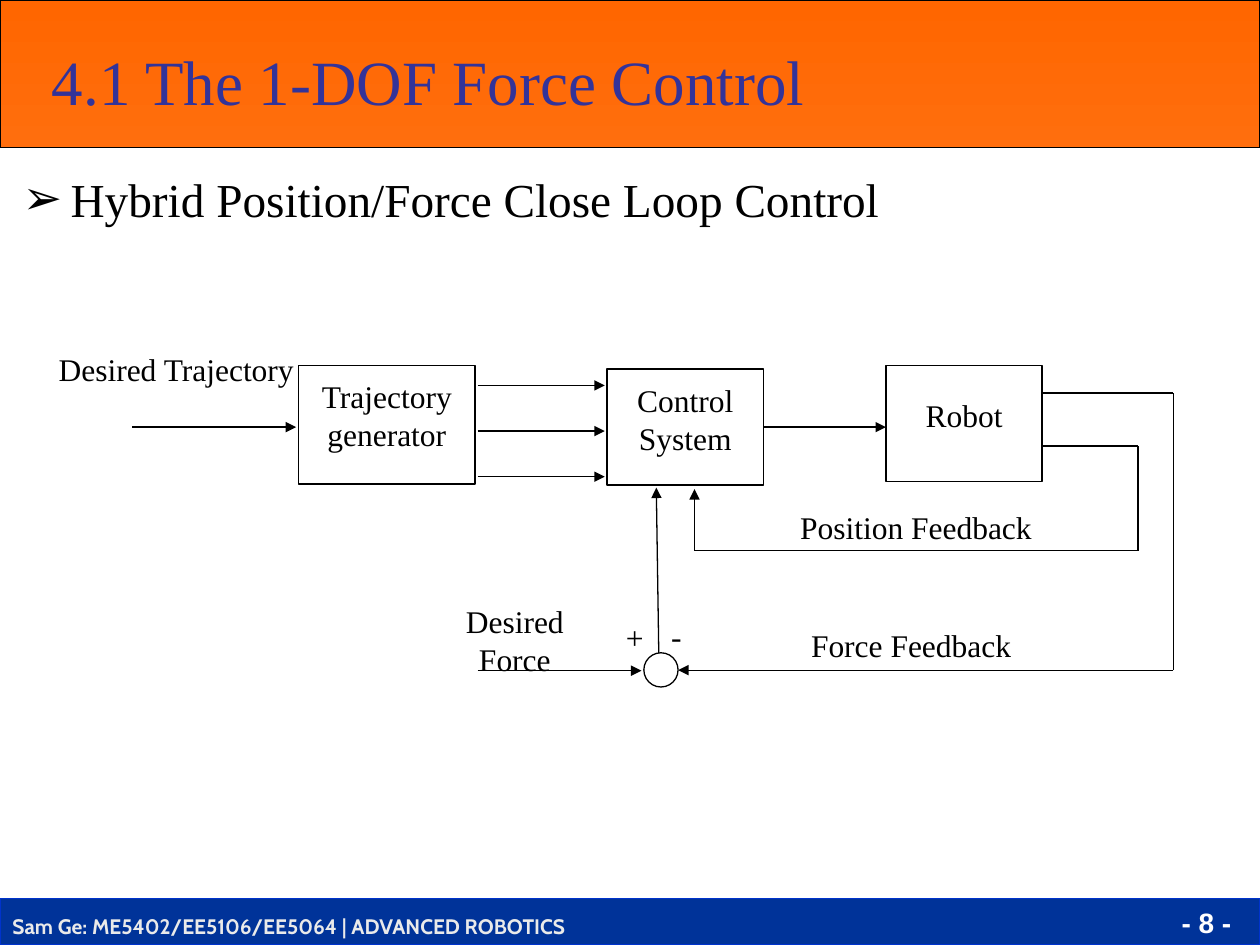
from dataclasses import dataclass
from typing import NamedTuple, Optional

from lxml.etree import SubElement
from pptx import Presentation
from pptx.dml.color import RGBColor
from pptx.enum.shapes import MSO_CONNECTOR, MSO_SHAPE
from pptx.enum.text import MSO_ANCHOR, MSO_AUTO_SIZE, PP_ALIGN
from pptx.oxml.ns import qn
from pptx.util import Cm, Pt


@dataclass(frozen=True)
class TextStyle:
    font: str
    size: float
    color: str
    bold: bool = False


@dataclass(frozen=True)
class Theme:
    ink: str = "000000"
    paper: str = "FFFFFF"
    header_top: str = "FF6600"
    header_bottom: str = "FF6E0D"
    footer_fill: str = "003399"
    footer_line: str = "0033CC"
    line_width: float = 0.75
    title: TextStyle = TextStyle("Times New Roman", 36, "333399")
    body: TextStyle = TextStyle("Times New Roman", 27, "000000")
    diagram: TextStyle = TextStyle("Times New Roman", 18, "000000")
    course: TextStyle = TextStyle("Cabin", 12, "EAEAEA", True)
    page: TextStyle = TextStyle("Arial", 16, "FFFFFF", True)


THEME = Theme()


class Box(NamedTuple):
    """Left, top, width and height in centimetres."""
    left: float
    top: float
    width: float
    height: float


class Block(NamedTuple):
    box: Box
    lines: tuple[str, ...]
    top_inset: float


class Label(NamedTuple):
    text: str
    box: Box
    style: TextStyle = THEME.diagram
    align: PP_ALIGN = PP_ALIGN.LEFT


class Wire(NamedTuple):
    start: tuple[float, float]
    end: tuple[float, float]
    arrow: bool = False
    source: Optional[str] = None  # block whose right side the wire leaves


BLOCKS = {
    "trajectory": Block(Box(6.02, 7.37, 3.56, 2.39), ("Trajectory", "generator"), 0.23),
    "control": Block(Box(12.24, 7.44, 3.15, 2.34), ("Control", "System"), 0.25),
    "robot": Block(Box(17.86, 7.37, 3.15, 2.34), ("Robot",), 0.61),
}
SUMMING_POINT = Box(12.98, 13.16, 0.69, 0.69)

LABELS = [
    Label("Desired Trajectory", Box(0.76, 6.93, 5.59, 1.98), align=PP_ALIGN.CENTER),
    Label("Desired Force", Box(8.38, 12.01, 4, 1.98), align=PP_ALIGN.CENTER),
    Label("Position Feedback", Box(15.88, 10.11, 5.97, 1.14)),
    Label("Force Feedback", Box(16.1, 12.5, 6.17, 1.45)),
    Label("+", Box(12.37, 12.34, 0.81, 1.04)),
    Label("-", Box(13.28, 12.32, 0.81, 1.04)),
    Label("Sam Ge: ME5402/EE5106/EE5064 | ADVANCED ROBOTICS",
          Box(0, 18.29, 13.11, 0.76), THEME.course),
    Label("- 8 -", Box(22.89, 18.14, 2.18, 0.91), THEME.page, PP_ALIGN.RIGHT),
]

POSITION_X, FORCE_X = 22.94, 23.65  # vertical runs of the feedback loops
ROBOT_RIGHT = BLOCKS["robot"].box.left + BLOCKS["robot"].box.width
WIRES = [
    Wire((2.67, 8.61), (5.97, 8.61), True),
    *(Wire((9.63, 7.77 + 0.92 * row), (12.19, 7.77 + 0.92 * row), True) for row in range(3)),
    Wire((15.39, 8.61), (17.86, 8.61), True, "control"),
    # position feedback
    Wire((POSITION_X, 8.99), (ROBOT_RIGHT, 8.99)),
    Wire((POSITION_X, 11.1), (POSITION_X, 8.99)),
    Wire((14, 11.1), (POSITION_X, 11.1)),
    Wire((14, 11.1), (14, 9.86), True),
    # force feedback
    Wire((FORCE_X, 7.92), (ROBOT_RIGHT, 7.92)),
    Wire((FORCE_X, 13.51), (FORCE_X, 7.92)),
    Wire((FORCE_X, 13.51), (13.67, 13.51), True),
    Wire((9.63, 13.52), (12.93, 13.52), True),
    Wire((13.28, 13.16), (13.23, 9.83), True),
]


def rgb(color: str) -> RGBColor:
    return RGBColor.from_string(color)


def place(shape, box: Box) -> None:
    for name, value in box._asdict().items():
        setattr(shape, name, Cm(value))


def write(paragraph, text: str, style: TextStyle, align: PP_ALIGN = PP_ALIGN.LEFT) -> None:
    paragraph.alignment = align
    run = paragraph.add_run()
    run.text = text
    formats = {"name": style.font, "size": Pt(style.size), "bold": style.bold}
    for name, value in formats.items():
        setattr(run.font, name, value)
    run.font.color.rgb = rgb(style.color)


def set_frame(frame, anchor: MSO_ANCHOR = MSO_ANCHOR.TOP) -> None:
    formats = {"word_wrap": True, "auto_size": MSO_AUTO_SIZE.NONE, "vertical_anchor": anchor}
    for name, value in formats.items():
        setattr(frame, name, value)


def add_outlined(slide, kind: MSO_SHAPE, box: Box, fill: str, line: str):
    shape = slide.shapes.add_shape(kind, *map(Cm, box))
    shape.shadow.inherit = False
    shape.fill.solid()
    shape.fill.fore_color.rgb = rgb(fill)
    shape.line.color.rgb = rgb(line)
    shape.line.width = Pt(THEME.line_width)
    return shape


def add_bars(slide) -> None:
    """Draw the footer and the gradient header behind the placeholders."""
    footer = add_outlined(slide, MSO_SHAPE.RECTANGLE, Box(0, 18.11, 25.4, 0.94),
                          THEME.footer_fill, THEME.footer_line)
    header = add_outlined(slide, MSO_SHAPE.RECTANGLE, Box(0, 0, 25.4, 2.97),
                          THEME.header_top, THEME.ink)
    header.fill.gradient()
    header.fill.gradient_angle = 270
    for stop, color in zip(header.fill.gradient_stops, (THEME.header_top, THEME.header_bottom)):
        stop.color.rgb = rgb(color)
    for bar in (header, footer):
        slide.shapes._spTree.insert(2, bar._element)


def fill_placeholders(slide) -> None:
    title, body = slide.shapes.title, slide.placeholders[1]
    place(title, Box(0.79, 0.71, 18.54, 1.8))
    set_frame(title.text_frame, MSO_ANCHOR.MIDDLE)
    write(title.text_frame.paragraphs[0], "4.1 The 1-DOF Force Control", THEME.title)

    place(body, Box(0.2, 3.3, 21.67, 1.42))
    set_frame(body.text_frame)
    paragraph = body.text_frame.paragraphs[0]
    properties = paragraph._p.get_or_add_pPr()
    properties.set("marL", str(Cm(0.97)))
    properties.set("indent", str(-Cm(0.97)))
    SubElement(properties, qn("a:buChar"), char="➢")
    paragraph.space_before = Pt(0)
    write(paragraph, "Hybrid Position/Force Close Loop Control", THEME.body)


def add_block(slide, block: Block):
    shape = add_outlined(slide, MSO_SHAPE.RECTANGLE, block.box, THEME.paper, THEME.ink)
    frame = shape.text_frame
    set_frame(frame)
    frame.margin_top = Cm(block.top_inset)
    for index, line in enumerate(block.lines):
        paragraph = frame.add_paragraph() if index else frame.paragraphs[0]
        write(paragraph, line, THEME.diagram, PP_ALIGN.CENTER)
    return shape


def add_label(slide, label: Label) -> None:
    frame = slide.shapes.add_textbox(*map(Cm, label.box)).text_frame
    set_frame(frame)
    write(frame.paragraphs[0], label.text, label.style, label.align)


def add_wire(slide, wire: Wire, blocks: dict) -> None:
    connector = slide.shapes.add_connector(
        MSO_CONNECTOR.STRAIGHT, *map(Cm, wire.start + wire.end))
    if wire.source:
        connector.begin_connect(blocks[wire.source], 3)
    connector.line.color.rgb = rgb(THEME.ink)
    connector.line.width = Pt(THEME.line_width)
    if wire.arrow:
        SubElement(connector.line._get_or_add_ln(), qn("a:tailEnd"), type="triangle")
    SubElement(connector._element.spPr, qn("a:effectLst"))


def main() -> None:
    presentation = Presentation()
    presentation.slide_width, presentation.slide_height = Cm(25.4), Cm(19.05)
    slide = presentation.slides.add_slide(presentation.slide_layouts[1])
    add_bars(slide)
    fill_placeholders(slide)
    blocks = {name: add_block(slide, block) for name, block in BLOCKS.items()}
    add_outlined(slide, MSO_SHAPE.OVAL, SUMMING_POINT, THEME.paper, THEME.ink)
    for label in LABELS:
        add_label(slide, label)
    for wire in WIRES:
        add_wire(slide, wire, blocks)
    presentation.save("out.pptx")


if __name__ == "__main__":
    main()
